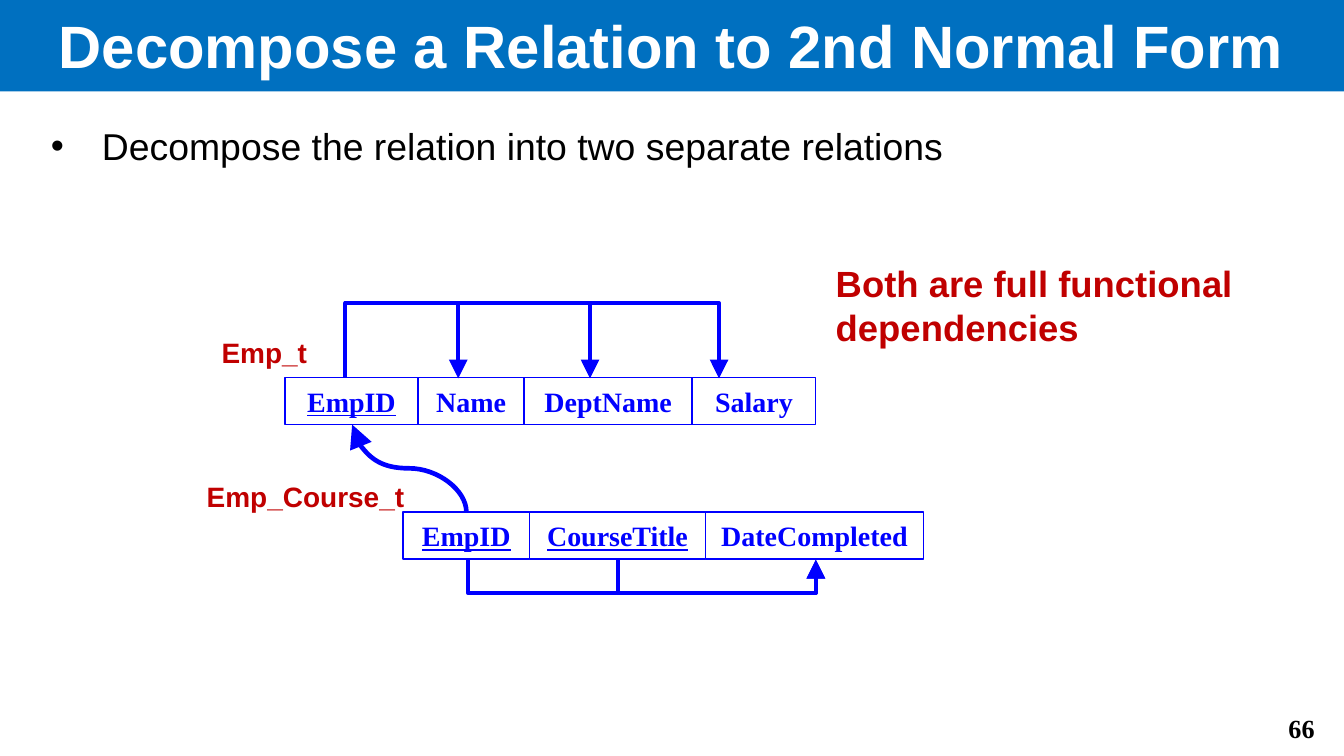
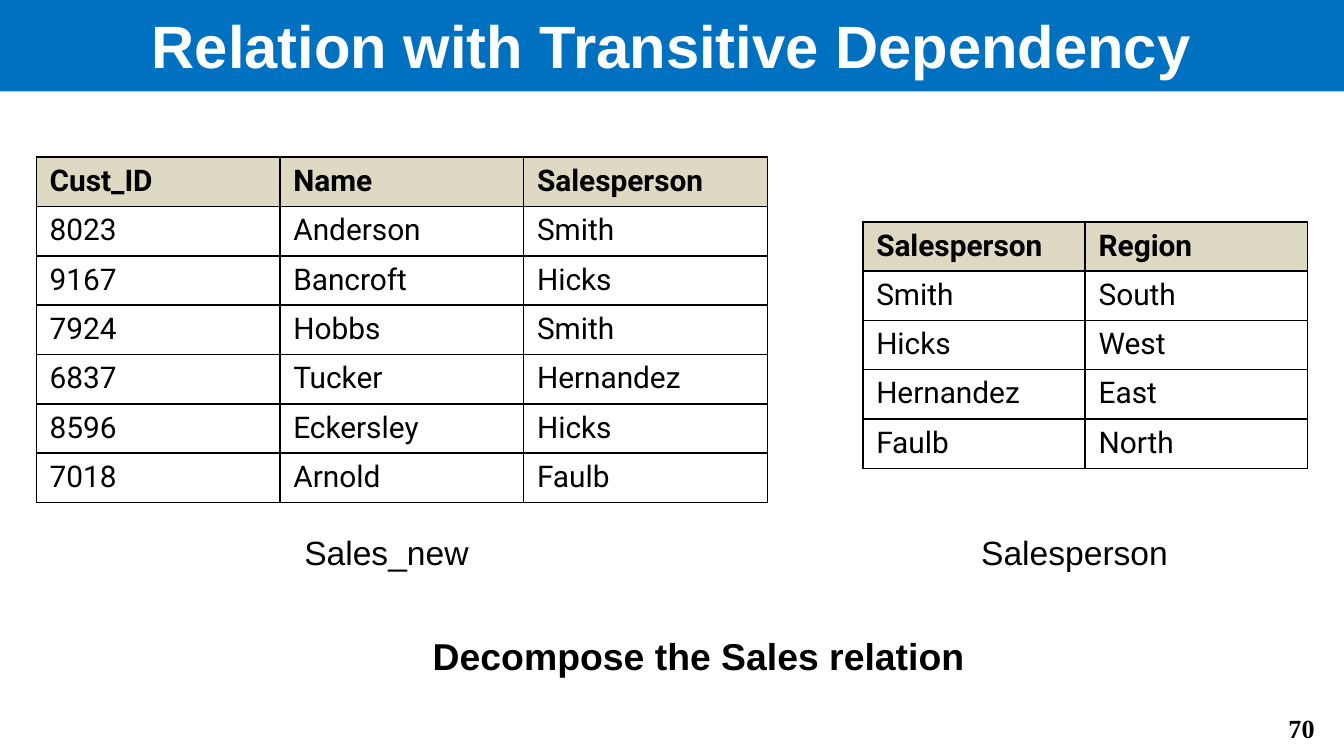
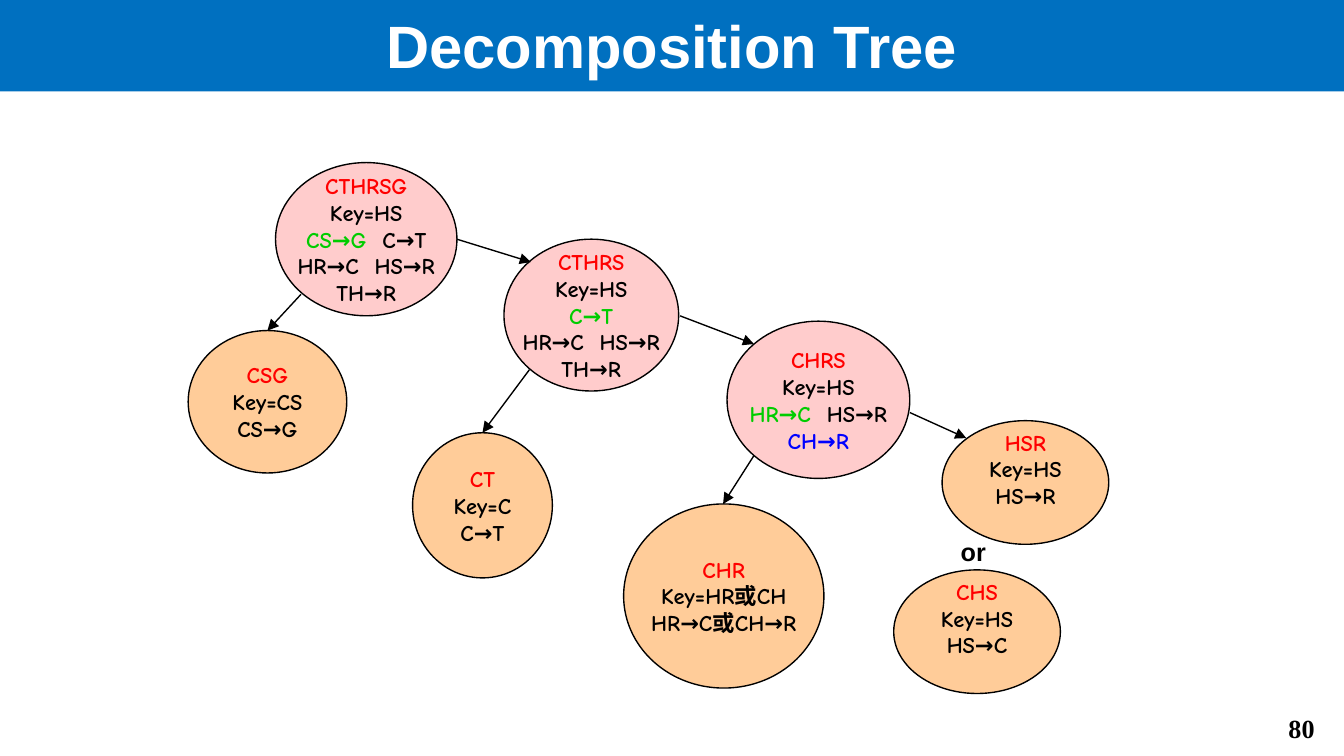
"""Build three slides on decomposing relations into normal forms."""
from itertools import accumulate

from lxml import etree
from pptx import Presentation
from pptx.dml.color import RGBColor
from pptx.enum import shapes as es, text as et
from pptx.oxml import ns
from pptx.util import Inches, Pt

WHITE, BLACK = RGBColor(255, 255, 255), RGBColor(0, 0, 0)
BAND, BLUE = RGBColor(0, 0x70, 0xC0), RGBColor(0, 0, 255)
NOTE, RED = RGBColor(0xC0, 0, 0), RGBColor(255, 0, 0)
GREEN, HEAD = RGBColor(0, 0xCC, 0), RGBColor(0xDD, 0xD9, 0xC3)
PINK, PEACH = RGBColor(255, 0xCC, 0xCC), RGBColor(255, 0xCC, 0x99)
LEFT, MID, RIGHT = et.PP_ALIGN.LEFT, et.PP_ALIGN.CENTER, et.PP_ALIGN.RIGHT
TOP, CENTRE = et.MSO_ANCHOR.TOP, et.MSO_ANCHOR.MIDDLE
WIRE = es.MSO_CONNECTOR


def fmt(size, color=BLACK, bold=False, name="Arial", **more):
    return dict(size=Pt(size), color=color, bold=bold, name=name, **more)


TITLE, BODY = fmt(32, WHITE, True), fmt(20)
PAGE = fmt(14, BLACK, True, "Times New Roman")
FIELD = fmt(15, BLUE, True, "Times New Roman")
LABEL, REMARK = fmt(15, NOTE, True), fmt(19.5, NOTE, True)
CELL, NODE = fmt(16, name="Roboto"), fmt(12, bold=True, name="Comic Neue")

EMP = dict(at=(2.12, 2.81), fields=[
    ("EmpID", 0.99, True), ("Name", 0.79, False),
    ("DeptName", 1.25, False), ("Salary", 0.92, False)])
COURSE = dict(at=(3, 3.81), fields=[
    ("EmpID", 0.94, True), ("CourseTitle", 1.31, True),
    ("DateCompleted", 1.62, False)])
DEPENDS = [(2.57, 3.41, 2.81, 2.25), (2.57, 4.39, 2.81, 2.25),
           (2.57, 5.35, 2.81, 2.25), (3.48, 6.07, 4.16, 4.42),
           (4.6, 6.07, 4.16, 4.42)]
TAGS = [("Emp_t", (1.55, 2.45, 0.95, 0.35), LABEL),
        ("Emp_Course_t", (1.44, 3.52, 1.8, 0.35), LABEL),
        ("Both are full functional dependencies", (6.12, 1.89, 3.37, 0.76), REMARK)]

SALES = [("Cust_ID", "Name", "Salesperson"),
         ("8023", "Anderson", "Smith"), ("9167", "Bancroft", "Hicks"),
         ("7924", "Hobbs", "Smith"), ("6837", "Tucker", "Hernandez"),
         ("8596", "Eckersley", "Hicks"), ("7018", "Arnold", "Faulb")]
REGIONS = [("Salesperson", "Region"), ("Smith", "South"), ("Hicks", "West"),
           ("Hernandez", "East"), ("Faulb", "North")]
TABLES = [(SALES, (0.27, 1.17, 5.44, 2.57)), (REGIONS, (6.42, 1.65, 3.31, 1.83))]
NAMES = [("Sales_new", (1.93, 3.91, 1.89, 0.4), fmt(18)),
         ("Salesperson", (7.05, 3.91, 1.89, 0.4), fmt(18)),
         ("Decompose the Sales relation", (2.72, 4.66, 4.96, 0.44), fmt(20, bold=True))]

NODES = [
    (PINK, (2.05, 1.21, 1.35, 1.14), 0.05, [
        "CTHRSG", "Key=HS", [("CS→G  ", GREEN), ("C→T", BLACK)],
        "HR→C  HS→R", "TH→R"]),
    (PEACH, (1.4, 2.46, 1.18, 1.06), 0.05, ["CSG", "Key=CS", "CS→G"]),
    (PINK, (3.75, 1.78, 1.3, 1.13), 0.05, [
        "CTHRS", "Key=HS", [("C→T", GREEN)], "HR→C  HS→R", "TH→R"]),
    (PEACH, (3.07, 3.22, 1.04, 1.08), 0.05, ["CT", "Key=C", "C→T"]),
    (PINK, (5.41, 2.39, 1.36, 1.17), 0.05, [
        "CHRS", "Key=HS", [("HR→C", GREEN), ("  HS→R", BLACK)], [("CH→R", BLUE)]]),
    (PEACH, (4.64, 3.75, 1.49, 1.37), 0.05, ["CHR", "Key=HR或CH", "HR→C或CH→R"]),
    (PEACH, (6.65, 4.24, 1.24, 0.92), 0.25, ["CHS", "Key=HS", "HS→C"]),
    (PEACH, (7.01, 3.13, 1.24, 0.92), 0.25, ["HSR", "Key=HS", "HS→R"])]
EDGES = [((2.24, 2.19), (1.99, 2.46)), ((3.4, 1.78), (3.95, 1.95)),
         ((3.94, 2.75), (3.59, 3.22)), ((5.06, 2.35), (5.61, 2.56)),
         ((5.61, 3.39), (5.38, 3.75)), ((6.77, 3.07), (7.19, 3.26))]


def child(node, tag, **attrs):
    return etree.SubElement(node, ns.qn(tag), attrs)


def style(font, form):
    for key, val in form.items():
        if key == "color":
            font.color.rgb = val
        else:
            setattr(font, key, val)


def write(shape, lines, form, align=LEFT, anchor=CENTRE, wrap=True):
    frame = shape.text_frame
    frame.word_wrap, frame.vertical_anchor = wrap, anchor
    for num, line in enumerate(lines):
        para = frame.add_paragraph() if num else frame.paragraphs[0]
        para.alignment = align
        parts = [(line, form["color"])] if isinstance(line, str) else line
        for words, color in parts:
            run = para.add_run()
            run.text = words
            style(run.font, {**form, "color": color})
    return frame


def label(slide, words, at, form, align=LEFT, anchor=CENTRE):
    box = slide.shapes.add_textbox(*map(Inches, at))
    return write(box, [words], form, align, anchor)


def shape(slide, kind, at, fill, line=None):
    item = slide.shapes.add_shape(kind, *map(Inches, at))
    item.shadow.inherit = False
    item.fill.solid()
    item.fill.fore_color.rgb = fill
    if line is None:
        item.line.fill.background()
    else:
        item.line.color.rgb, item.line.width = line, Pt(0.75)
    return item


def link(slide, start, end, color, width, kind=WIRE.STRAIGHT, turn=0, size="med"):
    item = slide.shapes.add_connector(kind, *map(Inches, start + end))
    item.line.color.rgb, item.line.width = color, Pt(width)
    child(item.line._get_or_add_ln(), "a:tailEnd", type="triangle", w=size, len=size)
    props = item._element.spPr
    child(props, "a:effectLst")
    if turn:
        props.xfrm.set("rot", str(turn * 60000))
    return item


def bracket(slide, left, right, edge, rail):
    side = 1 if rail < edge else -1
    mid, half, thin = (left + right) / 2, side * (right - left) / 2, 0.01
    item = link(slide, (mid - side * thin / 2, edge + half),
                (mid + side * thin / 2, edge - half), BLUE, 2,
                WIRE.ELBOW, 90 if side > 0 else 270, "lg")
    guides = item._element.spPr.find(ns.qn("a:prstGeom")).get_or_add_avLst()
    bend = round((rail - edge) / thin * 100000)
    child(guides, "a:gd", name="adj1", fmla=f"val {bend}")


def fields(slide, plan):
    left, top = plan["at"]
    widths = [wide for _, wide, _ in plan["fields"]]
    for (name, wide, key), x in zip(plan["fields"], accumulate(widths, initial=left)):
        box = shape(slide, es.MSO_SHAPE.RECTANGLE, (x, top, wide, 0.35), WHITE, BLUE)
        frame = write(box, [name], {**FIELD, "underline": key}, MID, wrap=False)
        frame.margin_left = frame.margin_right = 0


def grid(slide, rows, at):
    table = slide.shapes.add_table(len(rows), len(rows[0]), *map(Inches, at)).table
    table.horz_banding = False
    for row in table.rows:
        row.height = Inches(at[3] / len(rows))
    for r, row in enumerate(rows):
        for c, words in enumerate(row):
            cell = table.cell(r, c)
            props = cell._tc.get_or_add_tcPr()
            for side in "LRTB":
                edge = child(props, f"a:ln{side}", w=str(Pt(1)))
                child(child(edge, "a:solidFill"), "a:srgbClr", val=str(BLACK))
            if r:
                cell.fill.background()
            else:
                cell.fill.solid()
                cell.fill.fore_color.rgb = HEAD
            run = cell.text_frame.paragraphs[0].add_run()
            run.text = words
            style(run.font, {**CELL, "bold": r == 0})


def page(deck, title, number):
    slide = deck.slides.add_slide(deck.slide_layouts[6])
    band = shape(slide, es.MSO_SHAPE.RECTANGLE, (0, -0.02, 10, 0.7), BAND)
    write(band, [title], TITLE, MID)
    label(slide, number, (9.25, 5.25, 0.63, 0.34), PAGE, RIGHT)
    return slide


def second(deck):
    slide = page(deck, "Decompose a Relation to 2nd Normal Form", "66")
    frame = label(slide, "Decompose the relation into two separate relations",
                  (0.28, 0.87, 9.37, 4.15), BODY, anchor=TOP)
    props = frame.paragraphs[0]._p.get_or_add_pPr()
    props.set("marL", str(Inches(0.38)))
    props.set("indent", str(-Inches(0.38)))
    child(props, "a:buFont", typeface="Arial")
    child(props, "a:buChar", char="•")
    for words, at, form in TAGS:
        label(slide, words, at, form)
    for plan in (EMP, COURSE):
        fields(slide, plan)
    for depend in DEPENDS:
        bracket(slide, *depend)
    link(slide, (2.72, 3.91), (3.37, 3.06), BLUE, 2.5, WIRE.CURVE, 270, "lg")


def sales(deck):
    slide = page(deck, "Relation with Transitive Dependency", "70")
    for rows, at in TABLES:
        grid(slide, rows, at)
    for words, at, form in NAMES:
        label(slide, words, at, form, MID)


def tree(deck):
    slide = page(deck, "Decomposition Tree", "80")
    for fill, at, low, (name, *rules) in NODES:
        oval = shape(slide, es.MSO_SHAPE.OVAL, at, fill, BLACK)
        frame = write(oval, [[(name, RED)], *rules], NODE, MID, wrap=False)
        frame.margin_bottom = Inches(low)
    for start, end in EDGES:
        link(slide, start, end, BLACK, 0.75)
    label(slide, "or", (7.05, 3.94, 0.45, 0.33), fmt(13.5, bold=True))


def main():
    deck = Presentation()
    deck.slide_width = Inches(10)
    deck.slide_height = deck.slide_width * 9 // 16
    for build in (second, sales, tree):
        build(deck)
    deck.save("out.pptx")


if __name__ == "__main__":
    main()
